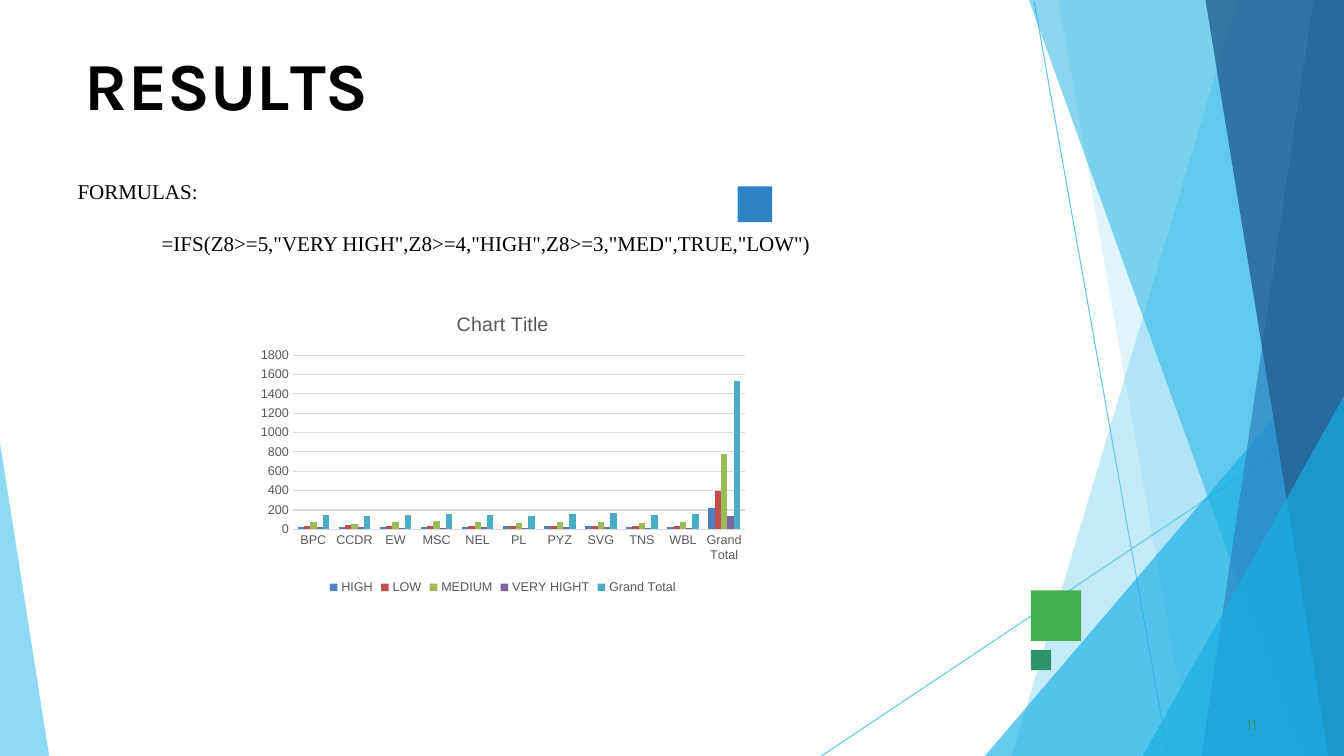
from lxml import etree
from pptx import Presentation, util as u
from pptx.chart.data import CategoryChartData
from pptx.dml.color import RGBColor
from pptx.enum import chart as ch, shapes, text
from pptx.oxml.ns import qn

HUES = {"black": "000000", "grey": "595959", "grid": "D9D9D9", "sky": "5FCAEE",
        "cyan": "17AFE3", "blue": "2D83C3", "navy": "226192", "green": "42AF51",
        "teal": "2D936B", "high": "4F81BD", "low": "C0504D", "medium": "9BBB59",
        "very": "8064A2", "total": "4BACC6"}
WIDE, TALL = 33.87, 19.05


def rgb(name):
    """Return the named colour."""
    return RGBColor.from_string(HUES[name])


class Deck:
    """Holds the style and the current slide."""

    def __init__(self):
        """Open a wide deck with one slide."""
        self.deck = Presentation()
        self.deck.slide_width, self.deck.slide_height = u.Cm(WIDE), u.Cm(TALL)
        self.slide = self.deck.slides.add_slide(self.deck.slide_layouts[1])
        self.items = self.slide.shapes

    def paint(self, shape, hue, alpha=100):
        """Fill a shape without line or shadow."""
        shape.shadow.inherit = False
        shape.line.fill.background()
        shape.fill.solid()
        shape.fill.fore_color.rgb = rgb(hue)
        if alpha < 100:
            tone = shape._element.spPr.find(".//" + qn("a:srgbClr"))
            etree.SubElement(tone, qn("a:alpha"), val=str(alpha * 1000))

    def facet(self, points, hue, alpha):
        """Draw a closed translucent outline."""
        spots = [(u.Cm(x), u.Cm(y)) for x, y in points]
        path = self.items.build_freeform(*spots[0])
        path.add_line_segments(spots[1:], close=True)
        self.paint(path.convert_to_shape(), hue, alpha)

    def block(self, left, top, wide, high, hue):
        """Draw a plain rectangle."""
        box = map(u.Cm, (left, top, wide, high))
        self.paint(self.items.add_shape(shapes.MSO_SHAPE.RECTANGLE, *box), hue)

    def line(self, *ends):
        """Draw a thin sky line."""
        rule = self.items.add_connector(shapes.MSO_CONNECTOR.STRAIGHT, *map(u.Cm, ends))
        rule.line.color.rgb, rule.line.width = rgb("sky"), u.Pt(0.75)
        etree.SubElement(rule._element.spPr, qn("a:effectLst"))

    def frame(self, shape, box, inset=None):
        """Place a text shape in front and return its text frame."""
        shape._element.getparent().append(shape._element)
        shape.left, shape.top, shape.width, shape.height = map(u.Cm, box)
        body = shape.text_frame
        body.word_wrap, body.auto_size = True, text.MSO_AUTO_SIZE.NONE
        body.vertical_anchor = text.MSO_ANCHOR.TOP
        if inset is not None:
            body.margin_left = body.margin_right = body.margin_bottom = 0
            body.margin_top = u.Cm(inset)
        return body

    def style(self, para, face, size, hue, before=0, left=0, bold=False):
        """Format a paragraph without a bullet."""
        props = para._p.get_or_add_pPr()
        props.set("marL", str(u.Cm(left)))
        props.set("indent", "0")
        etree.SubElement(props, qn("a:buNone"))
        para.alignment = text.PP_ALIGN.LEFT
        para.space_before = u.Pt(before)
        font = para.font
        font.name, font.size, font.bold = face, u.Pt(size), bold
        font.color.rgb = rgb(hue)

    def spaced(self, para, parts):
        """Add runs with their own letter spacing in points."""
        for words, gap in parts:
            run = para.add_run()
            run.text = words
            run.font._element.set("spc", str(round(gap * 100)))

    def title(self, parts, box):
        """Fill the title placeholder."""
        para = self.frame(self.items.title, box, 0.03).paragraphs[0]
        self.style(para, "Karla", 48, "black", 1.1, 0.03, True)
        self.spaced(para, parts)

    def body(self, rows, box):
        """Fill the body placeholder from text, gap and indent."""
        body = self.frame(self.slide.placeholders[1], box)
        for i, (words, before, left) in enumerate(rows):
            para = body.add_paragraph() if i else body.paragraphs[0]
            para.text = words
            self.style(para, "Times New Roman", 15, "black", before, left)

    def number(self, words, box):
        """Add the page number."""
        body = self.frame(self.items.add_textbox(0, 0, 0, 0), box, 0.03)
        self.style(body.paragraphs[0], "Karla", 11, "teal", 0.6, 0.1)
        self.spaced(body.paragraphs[0], [(words, 0.1)])

    def chart(self, name, cats, rows, box):
        """Add a clustered column chart."""
        data = CategoryChartData()
        data.categories = cats
        for label, _, vals in rows:
            data.add_series(label, vals)
        kind = ch.XL_CHART_TYPE.COLUMN_CLUSTERED
        chart = self.items.add_chart(kind, *map(u.Cm, box), data).chart
        chart.font.name, chart.font.size = "Arial", u.Pt(9)
        chart.font.color.rgb = rgb("grey")
        chart.has_title = True
        head = chart.chart_title.text_frame
        head.text = name
        font = head.paragraphs[0].font
        font.name, font.size, font.bold = "Arial", u.Pt(14), False
        font.color.rgb = rgb("grey")
        chart.has_legend = True
        chart.legend.position = ch.XL_LEGEND_POSITION.BOTTOM
        chart.legend.include_in_layout = False
        for axis in (chart.category_axis, chart.value_axis):
            axis.major_tick_mark = axis.minor_tick_mark = ch.XL_TICK_MARK.NONE
            axis.format.line.fill.background()
        axis.minimum_scale, axis.maximum_scale, axis.major_unit = 0, 1800, 200
        grid = axis.major_gridlines.format.line
        grid.color.rgb, grid.width = rgb("grid"), u.Pt(0.75)
        plot = chart.plots[0]
        plot.gap_width, plot.overlap, plot.vary_by_categories = 150, 0, False
        for bars, (_, hue, _) in zip(plot.series, rows):
            bars.format.fill.solid()
            bars.format.fill.fore_color.rgb = rgb(hue)
            bars.invert_if_negative = False


def main():
    """Build the results slide."""
    deck = Deck()
    deck.line(26.06, 0.03, 29.44, TALL)
    deck.line(WIDE, 10.26, 20.7, TALL)
    bands = [(31.19, 25.5, "sky", 36), (26.67, 30.02, "sky", 20),
             (None, 24.82, "cyan", 66, 8.46), (25.93, 32.79, "cyan", 50),
             (33.1, 30.28, "blue", 70), (30.38, 33.48, "navy", 80),
             (None, 28.8, "cyan", 66, 9.98)]
    for top, foot, hue, alpha, *drop in bands:
        start = [(WIDE, drop[0])] if drop else [(WIDE, 0), (top, 0)]
        deck.facet(start + [(foot, TALL), (WIDE, TALL)], hue, alpha)
    deck.facet([(0, 11.15), (0, TALL), (1.24, TALL)], "sky", 70)

    deck.block(25.98, 14.88, 1.27, 1.27, "green")
    deck.block(18.59, 4.7, 0.87, 0.9, "blue")
    deck.block(25.98, 16.38, 0.51, 0.51, "teal")

    deck.title([("R", 0), ("E", -0.4), ("S", 0.1), ("U", -0.3), ("L", -4), ("TS", 0)],
               (2.11, 1.07, 29.67, 2.06))
    deck.body([("FORMULAS:", 0, 0),
               ('=IFS(Z8>=5,"VERY HIGH",Z8>=4,"HIGH",Z8>=3,"MED",TRUE,"LOW")', 19, 2.12)],
              (1.7, 4.37, 30.48, 12.5))
    deck.number("11", (31.32, 17.98, 0.64, 0.46))

    cats = "BPC CCDR EW MSC NEL PL PYZ SVG TNS WBL".split() + ["Grand Total"]
    rows = [("HIGH", "high", (20, 20, 20, 20, 20, 30, 30, 30, 20, 20, 220)),
            ("LOW", "low", (30, 50, 40, 40, 40, 30, 40, 40, 40, 30, 400)),
            ("MEDIUM", "medium", (80, 60, 80, 90, 80, 70, 80, 80, 70, 80, 780)),
            ("VERY HIGHT", "very", (20, 20, 10, 10, 20, 10, 20, 20, 10, 10, 140)),
            ("Grand Total", "total",
             (150, 140, 150, 160, 150, 140, 160, 170, 150, 160, 1530))]
    deck.chart("Chart Title", cats, rows, (6.32, 7.47, 12.7, 7.62))
    deck.deck.save("out.pptx")


if __name__ == "__main__":
    main()
